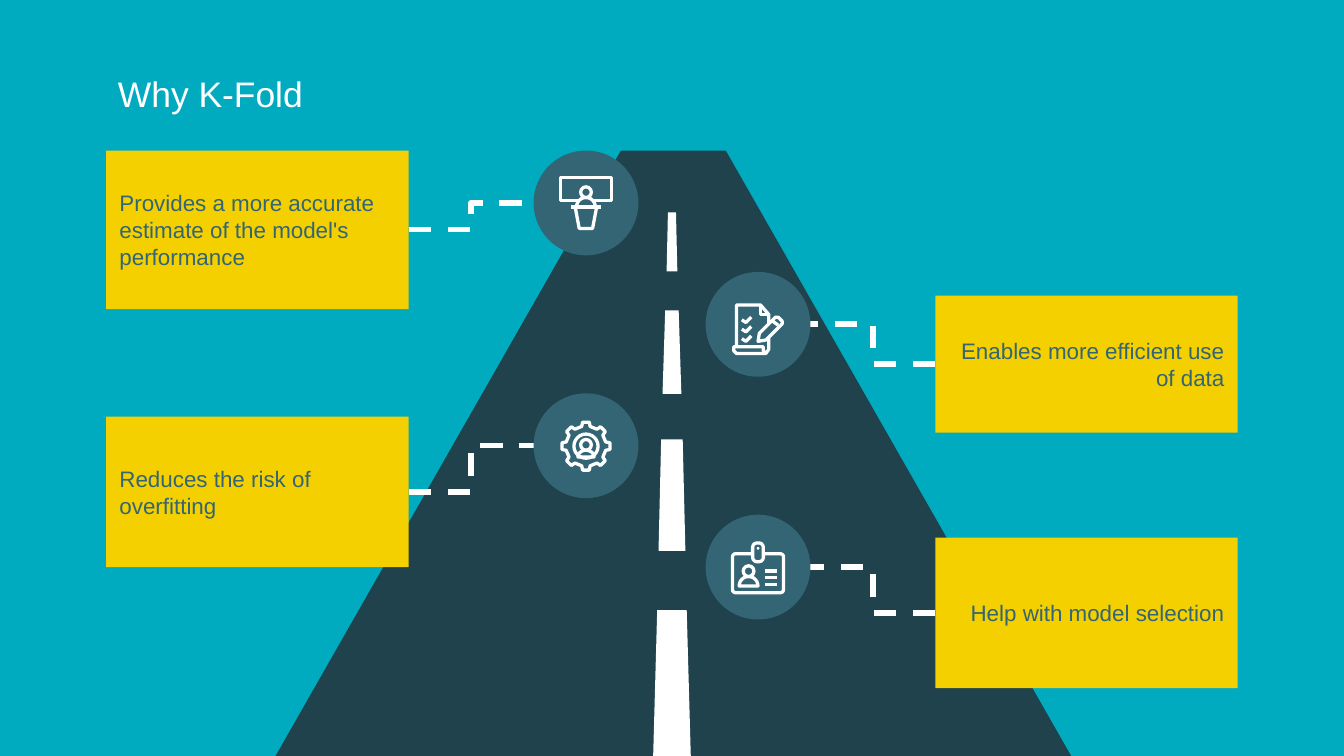
from dataclasses import dataclass
from math import cos, pi, radians, sin

from lxml import etree
from pptx import Presentation
from pptx.dml.color import RGBColor
from pptx.enum import dml, shapes, text
from pptx.oxml import ns
from pptx.util import Inches, Pt


@dataclass(frozen=True)
class Theme:
    """Colours, font and sizes of the slide."""
    sky: str = "00ABBF"
    asphalt: str = "1F424C"
    white: str = "FFFFFF"
    panel: str = "F4D000"
    slate: str = "336574"
    font: str = "Arial"
    title: int = 19
    body: int = 12
    stroke: float = 1.75
    link: int = 3


THEME = Theme()
KIND = shapes.MSO_SHAPE
SLIDE_WIDTH = 10
SLIDE_HEIGHT = SLIDE_WIDTH * 9 / 16
BADGE = 0.78
PANEL_WIDTH = 2.25
BADGE_TOP, BADGE_STEP = 1.12, 2.71 / 3
LEFT_SIDE = dict(panel_x=0.79, badge_x=3.97, align=text.PP_ALIGN.LEFT)
RIGHT_SIDE = dict(panel_x=6.96, badge_x=5.25, align=text.PP_ALIGN.RIGHT)


def paint(shape, fill=None, line=None, width=THEME.stroke):
    """Set fill and outline, each left out when None."""
    shape.shadow.inherit = False
    if fill:
        shape.fill.solid()
        shape.fill.fore_color.rgb = RGBColor.from_string(fill)
    else:
        shape.fill.background()
    if line:
        shape.line.color.rgb = RGBColor.from_string(line)
        shape.line.width = Pt(width)
    else:
        shape.line.fill.background()
    return shape


def add_preset(slide, kind, x, y, w, h, **look):
    """Add a painted preset shape."""
    shape = slide.shapes.add_shape(kind, Inches(x), Inches(y), Inches(w), Inches(h))
    return paint(shape, **look)


def add_outline(slide, points, close=True, **look):
    """Add a painted freeform through points given in inches."""
    corners = [(Inches(x), Inches(y)) for x, y in points]
    builder = slide.shapes.build_freeform(*corners[0])
    builder.add_line_segments(corners[1:], close=close)
    return paint(builder.convert_to_shape(), **look)


def write(shape, words, size, color, align=text.PP_ALIGN.LEFT,
          anchor=text.MSO_ANCHOR.MIDDLE):
    """Write one formatted paragraph into a shape."""
    frame = shape.text_frame
    frame.word_wrap = True
    frame.vertical_anchor = anchor
    frame.margin_left = frame.margin_right = Inches(0.1)
    frame.margin_top = frame.margin_bottom = Inches(0.1)
    paragraph = frame.paragraphs[0]
    paragraph.alignment = align
    run = paragraph.add_run()
    run.text = words
    run.font.name = THEME.font
    run.font.size = Pt(size)
    run.font.color.rgb = RGBColor.from_string(color)


def add_link(slide, start, end):
    """Add a dashed elbow connector."""
    link = slide.shapes.add_connector(
        shapes.MSO_CONNECTOR.ELBOW, *map(Inches, start + end))
    link.line.color.rgb = RGBColor.from_string(THEME.white)
    link.line.width = Pt(THEME.link)
    link.line.dash_style = dml.MSO_LINE.DASH
    etree.SubElement(link._element.spPr, ns.qn("a:effectLst"))


def add_road(slide):
    """Draw the road and its centre markings."""
    strips = [
        (5.01, 1.12, SLIDE_HEIGHT, 0.39, 2.96, THEME.asphalt),
        (5, 1.58, 2.02, 0.03, 0.04, THEME.white),
        (5, 2.31, 2.93, 0.05, 0.07, THEME.white),
        (5, 3.27, 4.1, 0.08, 0.1, THEME.white),
        (5, 4.54, SLIDE_HEIGHT, 0.11, 0.14, THEME.white),
    ]
    for center, top, bottom, far, near, color in strips:
        add_outline(slide, [(center - far, top), (center - near, bottom),
                            (center + near, bottom), (center + far, top)], fill=color)


def add_ring(slide, x, y, radius, fill=None):
    """Draw a white ring around a centre."""
    add_preset(slide, KIND.OVAL, x - radius, y - radius, 2 * radius, 2 * radius,
               fill=fill, line=THEME.white)


def add_person(slide, x, head_y, base_y, radius, shoulder):
    """Draw a head above rounded shoulders."""
    rise = base_y - head_y - radius
    dome = [(x - shoulder * cos(pi * i / 12), base_y - rise * sin(pi * i / 12))
            for i in range(13)]
    add_outline(slide, dome, fill=THEME.slate, line=THEME.white)
    add_ring(slide, x, head_y, radius, fill=THEME.slate)


def draw_speaker(slide):
    """Draw a speaker at a lectern before a screen."""
    add_preset(slide, KIND.RECTANGLE, 4.17, 1.32, 0.38, 0.17, line=THEME.white)
    add_person(slide, 4.36, 1.43, 1.54, 0.04, 0.07)
    add_outline(slide, [(4.25, 1.54), (4.47, 1.54)], close=False, line=THEME.white)
    add_outline(slide, [(4.28, 1.54), (4.31, 1.7), (4.41, 1.7), (4.44, 1.54)],
                line=THEME.white)


def draw_checklist(slide):
    """Draw a ticked page with a pencil."""
    strokes = [
        [(5.48, 2.58), (5.48, 2.27), (5.66, 2.27), (5.72, 2.34), (5.72, 2.6),
         (5.7, 2.63), (5.48, 2.63), (5.46, 2.61), (5.46, 2.58), (5.68, 2.58),
         (5.68, 2.61), (5.7, 2.63)],
        [(5.66, 2.27), (5.66, 2.34), (5.72, 2.34)],
    ]
    for row in range(3):
        y = 2.36 + row * 0.07
        strokes.append([(5.52, y + 0.02), (5.55, y + 0.04), (5.59, y)])
    for points in strokes:
        add_outline(slide, points, close=False, line=THEME.white)
    add_outline(slide, [(5.64, 2.54), (5.65, 2.48), (5.77, 2.36), (5.79, 2.36),
                        (5.82, 2.39), (5.82, 2.41), (5.7, 2.53)],
                fill=THEME.slate, line=THEME.white)
    add_outline(slide, [(5.75, 2.39), (5.79, 2.42)], close=False, line=THEME.white)


def draw_gear(slide):
    """Draw a gear around a person."""
    x, y = 4.36, 3.32
    profile = [(-12, 0.15), (-8, 0.18), (8, 0.18), (12, 0.15)]
    teeth = [(x + r * cos(radians(turn + a)), y + r * sin(radians(turn + a)))
             for turn in range(0, 360, 45) for a, r in profile]
    add_outline(slide, teeth, line=THEME.white)
    add_person(slide, x, 3.31, 3.4, 0.04, 0.06)
    add_ring(slide, x, y, 0.09)


def draw_id_card(slide):
    """Draw an identity card with a clip."""
    card = add_preset(slide, KIND.ROUNDED_RECTANGLE, 5.45, 4.12, 0.38, 0.29,
                      line=THEME.white)
    card.adjustments[0] = 0.08
    clip = add_preset(slide, KIND.ROUNDED_RECTANGLE, 5.6, 4.04, 0.08, 0.14,
                      fill=THEME.slate, line=THEME.white)
    clip.adjustments[0] = 0.4
    add_preset(slide, KIND.OVAL, 5.63, 4.07, 0.02, 0.02, fill=THEME.white)
    add_person(slide, 5.57, 4.25, 4.36, 0.04, 0.07)
    for row in range(3):
        y = 4.25 + row * 0.05
        add_outline(slide, [(5.69, y), (5.78, y)], close=False, line=THEME.white)


def add_reason(slide, index, side, top, height, words):
    """Add one panel, its connector and its round badge."""
    panel = add_preset(slide, KIND.RECTANGLE, side["panel_x"], top, PANEL_WIDTH,
                       height, fill=THEME.panel)
    write(panel, words, THEME.body, THEME.slate, align=side["align"])
    badge_y = BADGE_TOP + index * BADGE_STEP
    if side is LEFT_SIDE:
        start_x, end_x = side["panel_x"] + PANEL_WIDTH, side["badge_x"]
    else:
        start_x, end_x = side["panel_x"], side["badge_x"] + BADGE
    add_link(slide, (start_x, top + height / 2), (end_x, badge_y + BADGE / 2))
    add_preset(slide, KIND.OVAL, side["badge_x"], badge_y, BADGE, BADGE,
               fill=THEME.slate)


def main():
    """Build and save the slide."""
    deck = Presentation()
    deck.slide_width, deck.slide_height = Inches(SLIDE_WIDTH), Inches(SLIDE_HEIGHT)
    slide = deck.slides.add_slide(deck.slide_layouts[6])
    slide.background.fill.solid()
    slide.background.fill.fore_color.rgb = RGBColor.from_string(THEME.sky)
    heading = slide.shapes.add_textbox(*map(Inches, (0.78, 0.44, 8.44, 0.63)))
    write(heading, "Why K-Fold", THEME.title, THEME.white, anchor=text.MSO_ANCHOR.TOP)
    add_road(slide)
    reasons = [
        (LEFT_SIDE, 1.12, 1.18,
         "Provides a more accurate estimate of the model's performance", draw_speaker),
        (RIGHT_SIDE, 2.2, 1.02, "Enables more efficient use of data", draw_checklist),
        (LEFT_SIDE, 3.1, 1.12, "Reduces the risk of overfitting", draw_gear),
        (RIGHT_SIDE, 4, 1.12, "Help with model selection", draw_id_card),
    ]
    for index, (side, top, height, words, draw_icon) in enumerate(reasons):
        add_reason(slide, index, side, top, height, words)
        draw_icon(slide)
    deck.save("out.pptx")


main()
